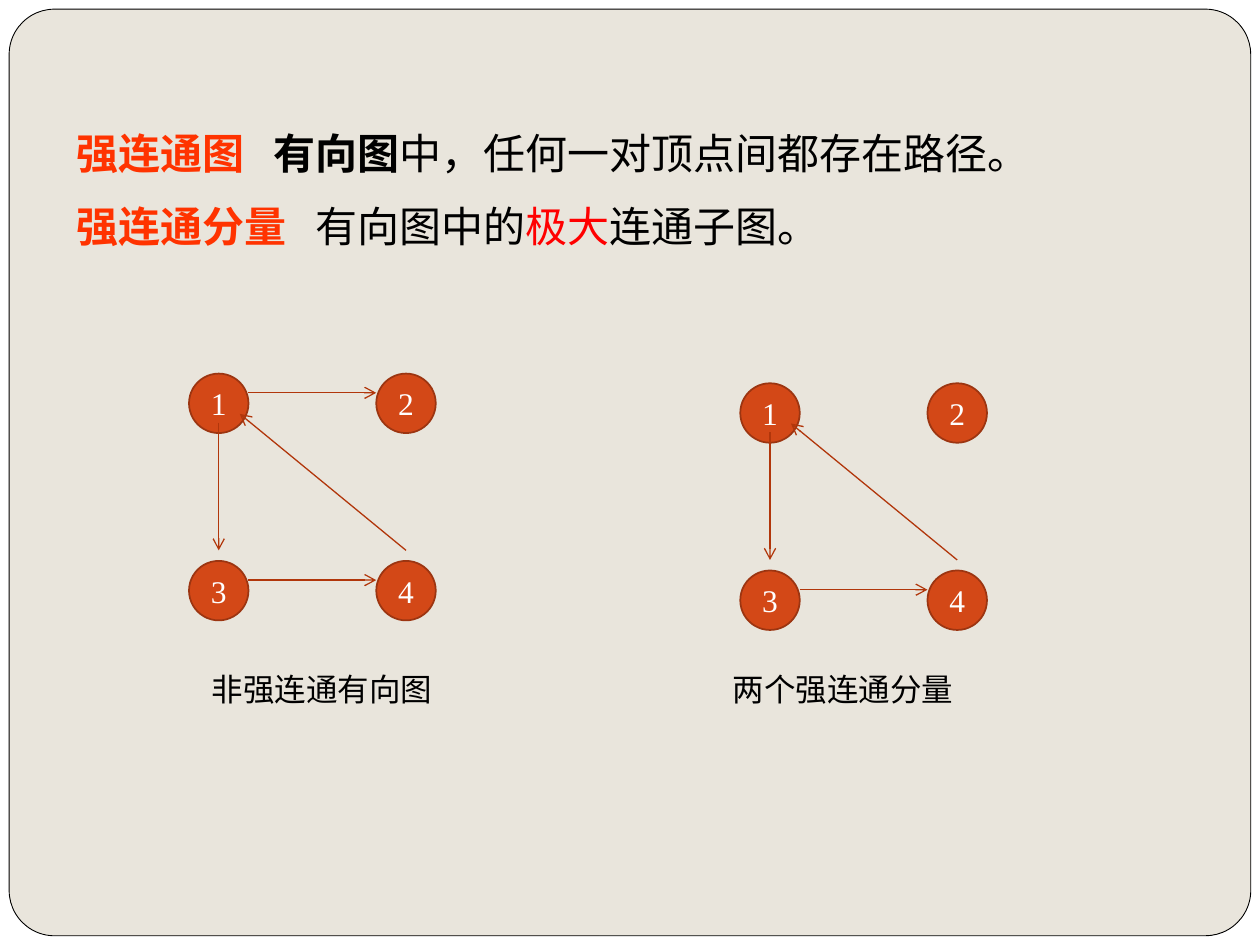
from dataclasses import dataclass

from lxml import etree
from pptx import Presentation
from pptx.dml.color import RGBColor
from pptx.enum.shapes import MSO_CONNECTOR, MSO_SHAPE
from pptx.enum.text import MSO_ANCHOR, PP_ALIGN
from pptx.oxml.ns import qn
from pptx.slide import Slide
from pptx.text.text import TextFrame, _Paragraph
from pptx.util import Pt

STRAIGHT = MSO_CONNECTOR.STRAIGHT
RECTANGLE = MSO_SHAPE.RECTANGLE
ROUNDED = MSO_SHAPE.ROUNDED_RECTANGLE
NODE_SHAPE = MSO_SHAPE.FLOWCHART_CONNECTOR
CENTER = PP_ALIGN.CENTER
MIDDLE = MSO_ANCHOR.MIDDLE


@dataclass(frozen=True)
class Theme:
    paper: str = "E9E5DC"
    white: str = "FFFFFF"
    ink: str = "000000"
    term: str = "FF3300"
    emphasis: str = "FF0000"
    node: str = "D34817"
    node_edge: str = "9C3511"
    arrow: str = "B1360B"
    latin: str = "Times New Roman"
    cjk: str = "Noto Sans CJK SC"
    body_size: float = 24
    label_size: float = 18


THEME = Theme()
SLIDE_WIDTH, SLIDE_HEIGHT = 720, 540
NODE_SIZE, NODE_PITCH = 34, 107


@dataclass(frozen=True)
class Span:
    text: str
    color: str = THEME.ink
    bold: bool = False
    font: str = THEME.latin


@dataclass(frozen=True)
class Definition:
    tab_stop: float
    spans: tuple[Span, ...]


@dataclass(frozen=True)
class Graph:
    left: float
    top: float
    edges: tuple[str, ...]
    caption: str
    caption_left: float
    caption_width: float


DEFINITIONS = (
    Definition(112.7, (
        Span("强连通图\t", THEME.term, True),
        Span("有向图", bold=True, font=THEME.cjk),
        Span("中，任何一对顶点间都存在路径。"),
    )),
    Definition(136.7, (
        Span("强连通分量\t", THEME.term, True),
        Span("有向图中的"),
        Span("极大", THEME.emphasis),
        Span("连通子图。"),
    )),
)

NODE_CELLS = {"1": (0, 0), "3": (0, 1), "4": (1, 1), "2": (1, 0)}

EDGE_ENDS = {
    "1-3": ((17, 28), (17, 101)),
    "3-4": ((34, 118), (107, 118)),
    "4-1": ((124, 101), (29, 23)),
    "1-2": ((34, 11), (107, 11)),
}

GRAPHS = (
    Graph(108, 213.5, ("1-3", "3-4", "4-1", "1-2"), "非强连通有向图", 113.8, 219.6),
    Graph(423, 219, ("1-3", "3-4", "4-1"), "两个强连通分量", 411.8, 236),
)


def rgb(color: str) -> RGBColor:
    return RGBColor.from_string(color)


def add_span(paragraph: _Paragraph, span: Span, size: float) -> None:
    run = paragraph.add_run()
    run.text = span.text
    run.font.size = Pt(size)
    run.font.bold = span.bold
    run.font.name = span.font
    run.font.color.rgb = rgb(span.color)
    latin = run.font._element.find(qn("a:latin"))
    east_asian = etree.Element(qn("a:ea"), typeface=THEME.cjk)
    latin.addnext(east_asian)


def add_frame(slide: Slide, left: float, top: float, width: float, height: float) -> TextFrame:
    box = slide.shapes.add_textbox(Pt(left), Pt(top), Pt(width), Pt(height))
    box.text_frame.word_wrap = True
    return box.text_frame


def add_panel(slide: Slide, kind: int, margin: float, color: str):
    panel = slide.shapes.add_shape(
        kind, Pt(margin), Pt(margin),
        Pt(SLIDE_WIDTH - 2 * margin), Pt(SLIDE_HEIGHT - 2 * margin))
    panel.shadow.inherit = False
    panel.fill.solid()
    panel.fill.fore_color.rgb = rgb(color)
    panel.line.fill.background()
    return panel


def add_backdrop(slide: Slide) -> None:
    slide.background.fill.solid()
    slide.background.fill.fore_color.rgb = rgb(THEME.paper)
    add_panel(slide, RECTANGLE, 0, THEME.white)
    card = add_panel(slide, ROUNDED, 5.25, THEME.paper)
    card.adjustments[0] = 0.049
    card.line.color.rgb = rgb(THEME.ink)
    card.line.width = Pt(0.5)


def add_definitions(slide: Slide) -> None:
    frame = add_frame(slide, 36.7, 62, 636, 168)
    for index, definition in enumerate(DEFINITIONS):
        paragraph = frame.add_paragraph() if index else frame.paragraphs[0]
        paragraph.line_spacing = 1.25
        paragraph.space_before = Pt(5.8 if index else 0)
        tabs = etree.SubElement(paragraph._p.get_or_add_pPr(), qn("a:tabLst"))
        etree.SubElement(tabs, qn("a:tab"), pos=str(Pt(definition.tab_stop)), algn="l")
        for span in definition.spans:
            add_span(paragraph, span, THEME.body_size)


def add_node(slide: Slide, label: str, left: float, top: float) -> None:
    node = slide.shapes.add_shape(NODE_SHAPE, Pt(left), Pt(top), Pt(NODE_SIZE), Pt(NODE_SIZE))
    node.shadow.inherit = False
    node.fill.solid()
    node.fill.fore_color.rgb = rgb(THEME.node)
    node.line.color.rgb = rgb(THEME.node_edge)
    node.line.width = Pt(1)
    frame = node.text_frame
    frame.margin_left = frame.margin_right = frame.margin_top = frame.margin_bottom = 0
    frame.vertical_anchor = MIDDLE
    frame.paragraphs[0].alignment = CENTER
    add_span(frame.paragraphs[0], Span(label, THEME.white), THEME.label_size)


def add_arrow(slide: Slide, graph: Graph, edge: str) -> None:
    (start_x, start_y), (end_x, end_y) = EDGE_ENDS[edge]
    arrow = slide.shapes.add_connector(
        STRAIGHT, Pt(graph.left + start_x), Pt(graph.top + start_y),
        Pt(graph.left + end_x), Pt(graph.top + end_y))
    arrow.line.color.rgb = rgb(THEME.arrow)
    arrow.line.width = Pt(0.75)
    properties = arrow._element.spPr
    etree.SubElement(properties.find(qn("a:ln")), qn("a:tailEnd"), type="arrow")
    etree.SubElement(properties, qn("a:effectLst"))


def add_graph(slide: Slide, graph: Graph) -> None:
    for label, (column, row) in NODE_CELLS.items():
        add_node(slide, label, graph.left + column * NODE_PITCH, graph.top + row * NODE_PITCH)
    for edge in graph.edges:
        add_arrow(slide, graph, edge)
    caption = add_frame(slide, graph.caption_left, 379.5, graph.caption_width, 29)
    add_span(caption.paragraphs[0], Span(graph.caption), THEME.label_size)


def main() -> None:
    presentation = Presentation()
    presentation.slide_width = Pt(SLIDE_WIDTH)
    presentation.slide_height = Pt(SLIDE_HEIGHT)
    slide = presentation.slides.add_slide(presentation.slide_layouts[6])
    add_backdrop(slide)
    add_definitions(slide)
    for graph in GRAPHS:
        add_graph(slide, graph)
    presentation.save("out.pptx")


if __name__ == "__main__":
    main()
